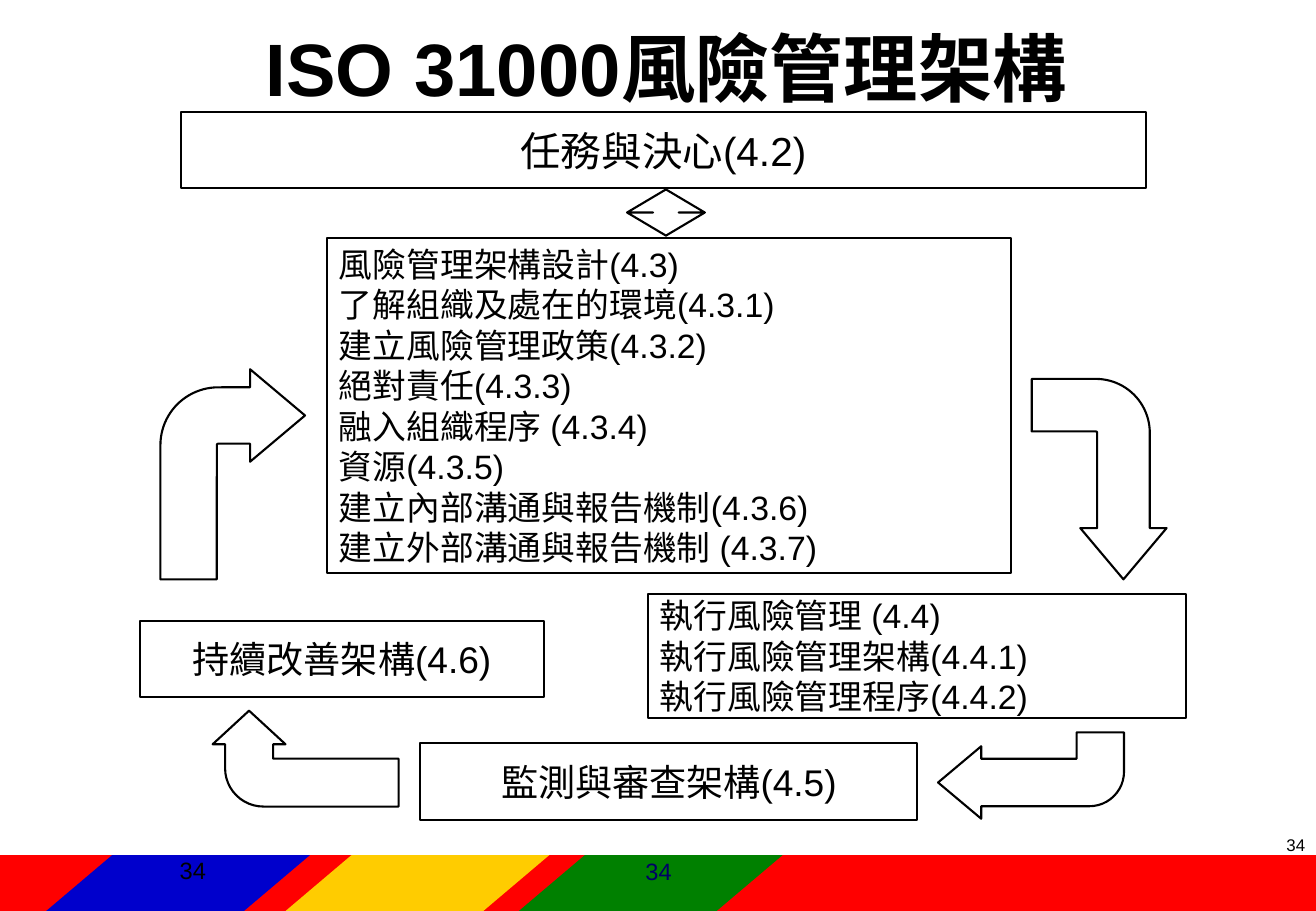
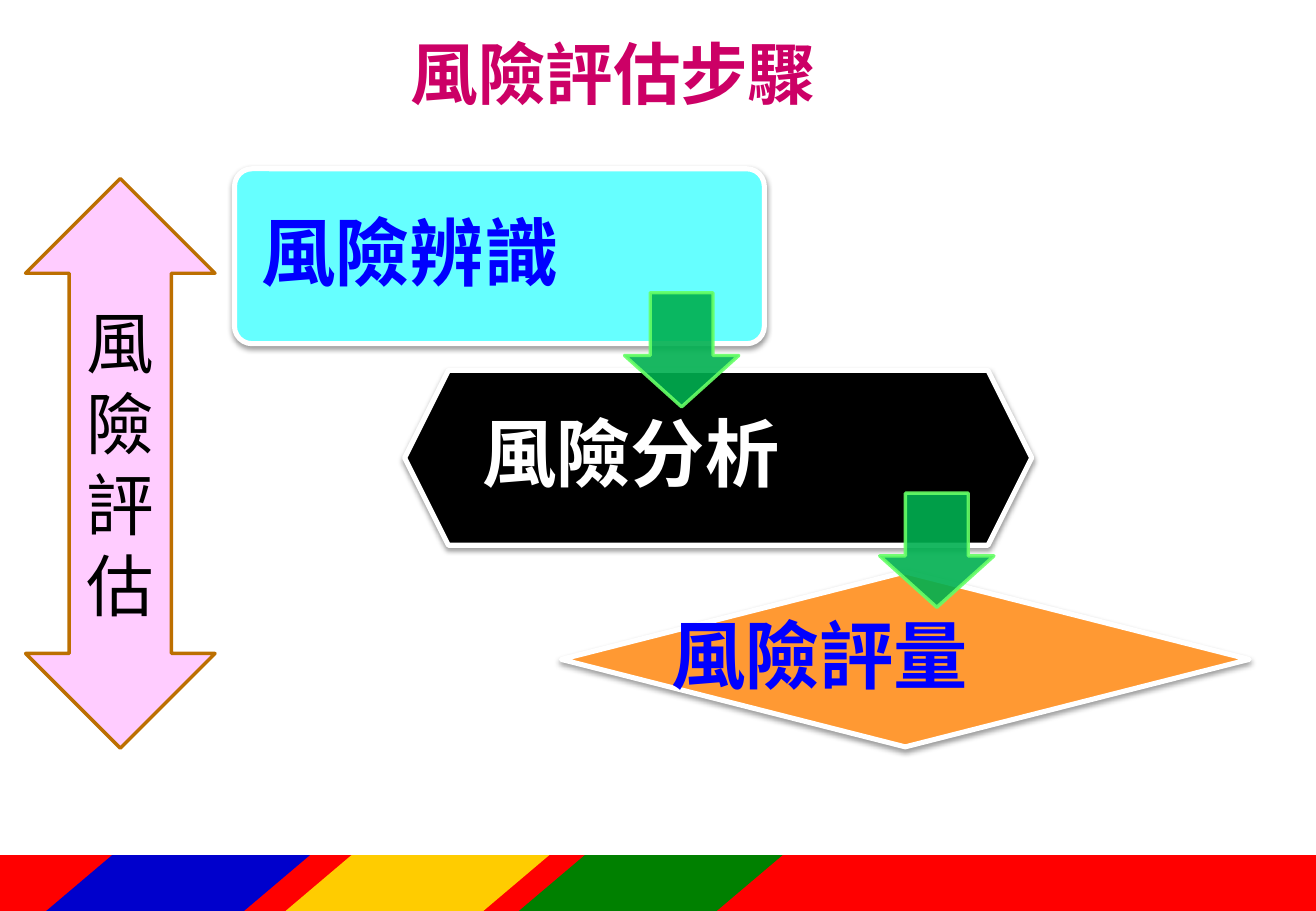
from dataclasses import dataclass
from typing import Optional

from lxml import etree
from pptx import Presentation
from pptx.dml.color import RGBColor
from pptx.enum.shapes import MSO_SHAPE
from pptx.enum.text import MSO_ANCHOR, MSO_AUTO_SIZE, PP_ALIGN
from pptx.oxml.ns import qn
from pptx.util import Inches, Pt

RECT, PARALLELOGRAM = MSO_SHAPE.RECTANGLE, MSO_SHAPE.PARALLELOGRAM
BENT, UP_DOWN, DOWN = MSO_SHAPE.BENT_ARROW, MSO_SHAPE.UP_DOWN_ARROW, MSO_SHAPE.DOWN_ARROW
ROUNDED, HEXAGON, DECISION = MSO_SHAPE.ROUNDED_RECTANGLE, MSO_SHAPE.HEXAGON, MSO_SHAPE.FLOWCHART_DECISION
LEFT, CENTER, RIGHT = PP_ALIGN.LEFT, PP_ALIGN.CENTER, PP_ALIGN.RIGHT
TOP, MIDDLE, BOTTOM = MSO_ANCHOR.TOP, MSO_ANCHOR.MIDDLE, MSO_ANCHOR.BOTTOM

BLACK = RGBColor(0x00, 0x00, 0x00)
WHITE = RGBColor(0xFF, 0xFF, 0xFF)
RED = RGBColor(0xFF, 0x00, 0x00)
YELLOW = RGBColor(0xFF, 0xCC, 0x00)
GREEN = RGBColor(0x00, 0x80, 0x00)
NAVY = RGBColor(0x00, 0x00, 0x66)
BAND_BLUE = RGBColor(0x00, 0x00, 0xCC)
TEXT_BLUE = RGBColor(0x00, 0x00, 0xFF)
CYAN = RGBColor(0x66, 0xFF, 0xFF)
ORANGE = RGBColor(0xFF, 0x99, 0x33)
PINK = RGBColor(0xFF, 0xCC, 0xFF)
BROWN = RGBColor(0xBC, 0x6F, 0x00)
MAGENTA = RGBColor(0xCC, 0x00, 0x66)
LEAF = RGBColor(0x00, 0xB0, 0x50)
LIME = RGBColor(0x66, 0xFF, 0x66)

ARIAL, SERIF, NOTO, EAST_ASIAN = "Arial", "Times New Roman", "Noto Sans CJK SC", "Lato"
WIDTH, HEIGHT = Inches(10.83), Inches(7.5)


@dataclass(frozen=True)
class Area:
    """A rectangle in percent of the slide's width and height."""
    x: float
    y: float
    w: float
    h: float

    def emu(self) -> tuple:
        return (int(WIDTH * self.x / 100), int(HEIGHT * self.y / 100),
                int(WIDTH * self.w / 100), int(HEIGHT * self.h / 100))


@dataclass(frozen=True)
class Style:
    size: float
    font: str = ARIAL
    color: RGBColor = BLACK
    bold: bool = False
    align: PP_ALIGN = LEFT
    anchor: MSO_ANCHOR = MIDDLE
    spacing: Optional[float] = None


@dataclass(frozen=True)
class FrameworkBox:
    area: Area
    lines: tuple
    size: int
    align: PP_ALIGN = CENTER


@dataclass(frozen=True)
class FlowArrow:
    kind: MSO_SHAPE
    area: Area
    adjustments: tuple
    rotation: int = 0


@dataclass(frozen=True)
class Step:
    kind: MSO_SHAPE
    x: float
    w: float
    fill: RGBColor
    label: str
    label_x: float
    label_w: float
    label_color: RGBColor


# Shared drawing
def write(frame, lines, style: Style) -> None:
    frame.word_wrap = True
    frame.auto_size = MSO_AUTO_SIZE.NONE
    frame.vertical_anchor = style.anchor
    for index, line in enumerate(lines):
        paragraph = frame.add_paragraph() if index else frame.paragraphs[0]
        paragraph.alignment = style.align
        paragraph.space_before = Pt(0)
        if style.spacing:
            paragraph.line_spacing = style.spacing
        run = paragraph.add_run()
        run.text = line
        run.font.size = Pt(style.size)
        run.font.bold = style.bold
        run.font.color.rgb = style.color
        run.font.name = style.font
        latin = run._r.get_or_add_rPr().find(qn("a:latin"))
        east_asian = etree.Element(qn("a:ea"), typeface=EAST_ASIAN)
        latin.addnext(east_asian)


def add_figure(slide, kind: MSO_SHAPE, area: Area, fill: Optional[RGBColor] = None,
               line: Optional[RGBColor] = None, line_width: float = 1.25, adjustments: tuple = ()):
    figure = slide.shapes.add_shape(kind, *area.emu())
    figure.shadow.inherit = False
    for index, value in enumerate(adjustments):
        figure.adjustments[index] = value
    if fill is None:
        figure.fill.background()
    else:
        figure.fill.solid()
        figure.fill.fore_color.rgb = fill
    if line is None:
        figure.line.fill.background()
    else:
        figure.line.color.rgb = line
        figure.line.width = Pt(line_width)
    return figure


def add_label(slide, area: Area, text: str, style: Style, inset: Optional[float] = None) -> None:
    frame = slide.shapes.add_textbox(*area.emu()).text_frame
    if inset is not None:
        frame.margin_left = frame.margin_right = Inches(inset)
        frame.margin_top = frame.margin_bottom = Inches(inset)
    write(frame, [text], style)


def set_title(slide, area: Area, text: str, style: Style) -> None:
    title = slide.shapes.title
    title.left, title.top, title.width, title.height = area.emu()
    write(title.text_frame, [text], style)


def set_alpha(color, percent: int) -> None:
    etree.SubElement(color, qn("a:alpha"), val=str(percent * 1000))


def add_soft_shadow(figure) -> None:
    effects = figure.element.spPr.find(qn("a:effectLst"))
    shadow = etree.SubElement(effects, qn("a:outerShdw"), blurRad=str(Pt(3.1)),
                              dist=str(Pt(1.6)), dir="5400000", rotWithShape="0")
    set_alpha(etree.SubElement(shadow, qn("a:srgbClr"), val=str(BLACK)), 38)


def add_master_band(slide, master) -> None:
    """Draw the footer band and move its parts to the master."""
    band_y, band_h = 93.87, 6.13
    parts = [add_figure(slide, RECT, Area(0, band_y, 100, band_h), RED)]
    for x, color in ((21.7, YELLOW), (39.43, GREEN), (3.51, BAND_BLUE)):
        parts.append(add_figure(slide, PARALLELOGRAM, Area(x, band_y, 20.04, band_h),
                                color, adjustments=(1.18,)))
    for part in parts:
        master.shapes.element.append(part.element)


# Slide 1: framework
BOX_H = 8.4
FRAMEWORK_BOXES = (
    FrameworkBox(Area(13.76, 12.27, 73.31, BOX_H), ("任務與決心(4.2)",), 24),
    FrameworkBox(Area(24.84, 26.13, 51.99, 36.8), (
        "風險管理架構設計(4.3)",
        "了解組織及處在的環境(4.3.1)",
        "建立風險管理政策(4.3.2)",
        "絕對責任(4.3.3)",
        "融入組織程序 (4.3.4)",
        "資源(4.3.5)",
        "建立內部溝通與報告機制(4.3.6)",
        "建立外部溝通與報告機制 (4.3.7)",
    ), 20, LEFT),
    FrameworkBox(Area(10.62, 68.13, 30.75, BOX_H), ("持續改善架構(4.6)",), 22),
    FrameworkBox(Area(49.22, 65.2, 40.9, 13.6), (
        "執行風險管理 (4.4)",
        "執行風險管理架構(4.4.1)",
        "執行風險管理程序(4.4.2)",
    ), 20, LEFT),
    FrameworkBox(Area(31.95, 81.6, 37.77, BOX_H), ("監測與審查架構(4.5)",), 22),
)
LARGE_BEND = (0.39, 0.32, 0.38, 0.4)
FLOW_ARROWS = (
    FlowArrow(UP_DOWN, Area(47.65, 20.8, 5.91, 5.07), (0.55, 0.33)),
    FlowArrow(BENT, Area(75.9, 45.2, 15.24, 14.8), LARGE_BEND, 90),
    FlowArrow(BENT, Area(12.19, 40.53, 10.99, 23.07), LARGE_BEND),
    FlowArrow(BENT, Area(71.28, 80.4, 14.13, 9.47), (0.55, 0.42, 0.5, 0.4), 180),
    FlowArrow(BENT, Area(19.58, 73.07, 7.29, 20.4), (0.5, 0.38, 0.35, 0.4), 270),
)
PAGE_NUMBERS = (
    (Area(76.73, 90.93, 23.36, 6.67), Style(10, align=RIGHT, anchor=TOP)),
    (Area(12.74, 91.07, 20.87, 6.67), Style(14, anchor=BOTTOM)),
    (Area(39.61, 92.27, 20.87, 6.67), Style(14, color=NAVY, align=CENTER)),
)


def build_framework(slide) -> None:
    set_title(slide, Area(6.93, 0.53, 87.44, 13.6), "ISO 31000風險管理架構",
              Style(44, bold=True, align=CENTER))
    for area, style in PAGE_NUMBERS:
        add_label(slide, area, "34", style)
    for box in FRAMEWORK_BOXES:
        figure = add_figure(slide, RECT, box.area, line=BLACK)
        write(figure.text_frame, box.lines, Style(box.size, align=box.align))
    for arrow in FLOW_ARROWS:
        figure = add_figure(slide, arrow.kind, arrow.area, line=BLACK, adjustments=arrow.adjustments)
        figure.rotation = arrow.rotation


# Slide 2: assessment steps
STEP_TOP, STEP_PITCH, STEP_H = 18.53, 22.13, 19.2
STEPS = (
    Step(ROUNDED, 17.82, 40.26, CYAN, "風險辨識", 18.19, 31.21, TEXT_BLUE),
    Step(HEXAGON, 30.75, 47.65, BLACK, "風險分析", 35, 28.81, WHITE),
    Step(DECISION, 42.66, 52.26, ORANGE, "風險評量", 49.35, 33.75, TEXT_BLUE),
)


def build_steps(slide) -> None:
    set_title(slide, Area(30.29, 2.8, 55.96, 10.27), "風險評估步驟",
              Style(40, NOTO, MAGENTA, True, anchor=TOP))
    for row, step in enumerate(STEPS):
        y = STEP_TOP + row * STEP_PITCH
        figure = add_figure(slide, step.kind, Area(step.x, y, step.w, STEP_H), step.fill, WHITE, 3,
                            (0.1,) if step.kind == ROUNDED else ())
        add_soft_shadow(figure)
        add_label(slide, Area(step.label_x, y, step.label_w, STEP_H), step.label,
                  Style(44, NOTO, step.label_color, True, spacing=0.9), 0.18)
    # Arrows from each step to the next
    for row in range(len(STEPS) - 1):
        arrow = add_figure(slide, DOWN, Area(47.46 + row * 19.39, 32.13 + row * 22, 8.68, 12.53),
                           LEAF, LIME, 2, (0.55, 0.45))
        for color in arrow.element.spPr.iter(qn("a:srgbClr")):
            set_alpha(color, 90)
    # Overall assessment arrow
    span = add_figure(slide, UP_DOWN, Area(1.94, 19.6, 14.4, 62.53), PINK, BROWN, 2, (0.5, 0.54))
    write(span.text_frame, "風險評估", Style(40, SERIF, align=CENTER))


def main() -> None:
    prs = Presentation()
    prs.slide_width, prs.slide_height = WIDTH, HEIGHT
    title_only = prs.slide_layouts[5]
    framework, steps = (prs.slides.add_slide(title_only) for _ in range(2))
    add_master_band(framework, prs.slide_master)
    build_framework(framework)
    build_steps(steps)
    prs.save("out.pptx")


if __name__ == "__main__":
    main()
